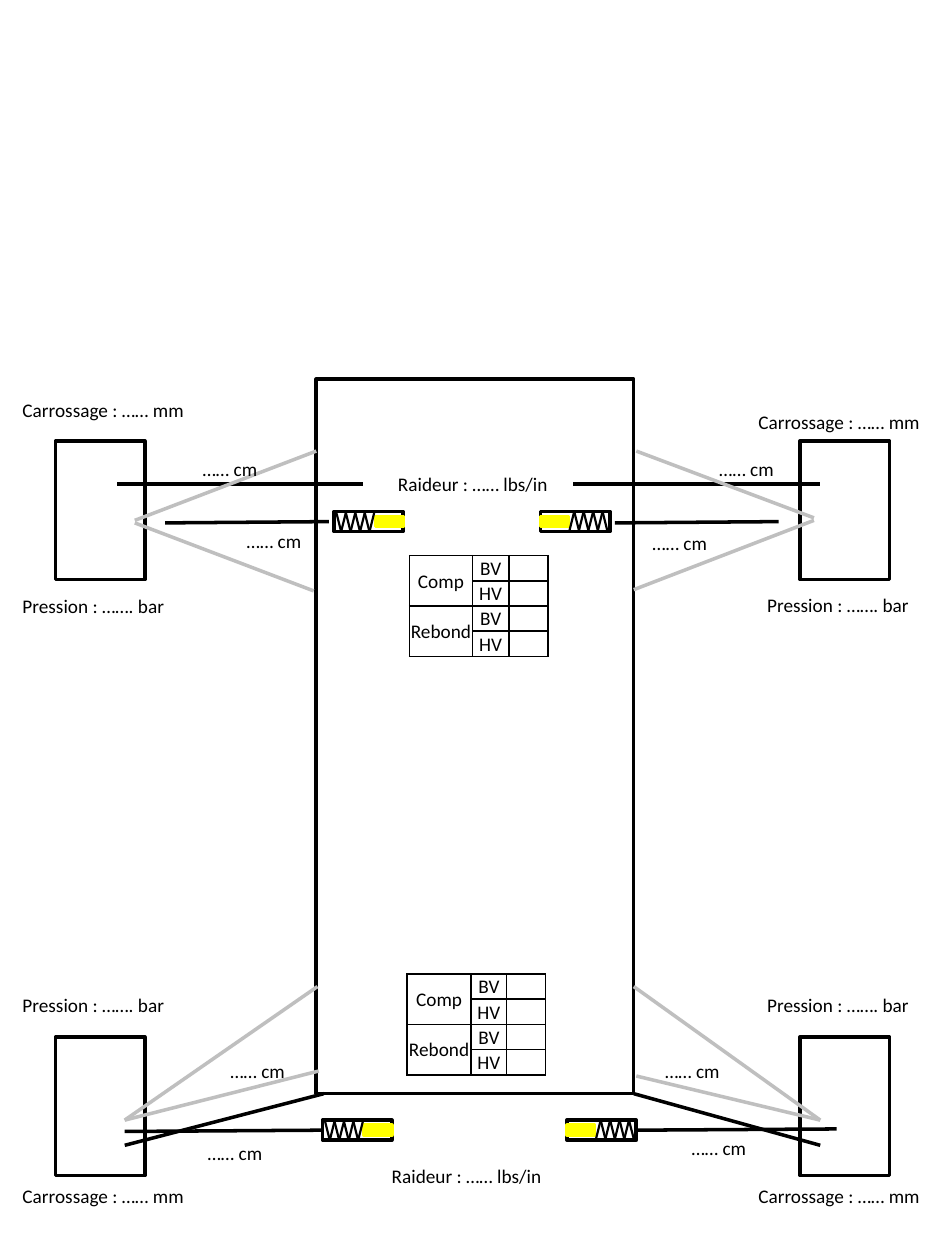
from itertools import pairwise
from typing import NamedTuple

from lxml.etree import SubElement
from pptx import Presentation
from pptx.dml.color import RGBColor
from pptx.enum.shapes import MSO_CONNECTOR, MSO_SHAPE
from pptx.enum.text import MSO_ANCHOR, PP_ALIGN
from pptx.oxml.ns import qn
from pptx.util import Inches, Pt

COLORS = {"ink": "000000", "arm": "BFBFBF", "damper": "FFFF00", "paper": "FFFFFF"}
FONT, FONT_SIZE = "Calibri", 11
DAMPER_W, DAMPER_H = 0.55, 0.16
COIL_STEP, COIL_TURNS = 0.0375, 8


class Box(NamedTuple):
    left: float
    top: float
    width: float
    height: float


class Link(NamedTuple):
    x1: float
    y1: float
    x2: float
    y2: float
    color: str = "ink"


class Label(NamedTuple):
    text: str
    width: float
    places: list


def rgb(name: str) -> RGBColor:
    return RGBColor.from_string(COLORS[name])


def draw_box(shapes, box: Box, fill: str = "", line: str = "ink"):
    rect = shapes.add_shape(MSO_SHAPE.RECTANGLE, *map(Inches, box))
    rect.shadow.inherit = False
    if fill:
        rect.fill.solid()
        rect.fill.fore_color.rgb = rgb(fill)
    else:
        rect.fill.background()
    rect.line.color.rgb = rgb(line)
    rect.line.width = Pt(2)
    return rect


def draw_link(shapes, link: Link, weight: float = 2):
    connector = shapes.add_connector(MSO_CONNECTOR.STRAIGHT, *map(Inches, link[:4]))
    connector.line.color.rgb = rgb(link.color)
    connector.line.width = Pt(weight)
    SubElement(connector._element.spPr, qn("a:effectLst"))
    return connector


def draw_damper(shapes, left: float, top: float, turned: bool = False):
    """Spring and damper; turned ones are rotated by half a turn."""
    group = shapes.add_group_shape().shapes

    def place(dx: float, dy: float) -> tuple:
        if turned:
            dx, dy = DAMPER_W - dx, DAMPER_H - dy
        return left + dx, top + dy

    body = draw_box(group, Box(left, top, DAMPER_W, DAMPER_H))
    rod_left = left if turned else left + 0.33
    draw_box(group, Box(rod_left, top + 0.04, 0.22, 0.08), "damper", "damper")
    coil = [place(0.02 + COIL_STEP * i, 0.16 if i % 2 else 0.01)
            for i in range(COIL_TURNS + 1)]
    for start, end in pairwise(coil):
        draw_link(group, Link(*start, *end), 1.25)
    return body


def write(frame, text: str, *, align=PP_ALIGN.LEFT, size: float = FONT_SIZE,
          color: str = "ink"):
    paragraph = frame.paragraphs[0]
    paragraph.alignment = align
    if not text:
        SubElement(paragraph._p, qn("a:endParaRPr"), sz=str(size * 100))
        return
    run = paragraph.add_run()
    run.text = text
    run.font.name = FONT
    run.font.size = Pt(size)
    run.font.color.rgb = rgb(color)


def border_cell(cell):
    tc_pr = cell._tc.get_or_add_tcPr()
    for side in ("lnL", "lnR", "lnT", "lnB"):
        edge = SubElement(tc_pr, qn(f"a:{side}"), w=str(Pt(1)))
        SubElement(SubElement(edge, qn("a:solidFill")), qn("a:srgbClr"),
                   val=COLORS["ink"])


def draw_settings(shapes, left: float, top: float, columns: tuple):
    rows = [("Comp", "BV", ""), ("", "HV", ""), ("Rebond", "BV", ""), ("", "HV", "")]
    table = shapes.add_table(len(rows), len(columns), Inches(left), Inches(top),
                             Inches(sum(columns)), Inches(0.8)).table
    table.first_row = table.horz_banding = False
    for column, width in zip(table.columns, columns):
        column.width = Inches(width)
    for r, row in enumerate(rows):
        table.rows[r].height = Inches(0.2)
        for c, text in enumerate(row):
            cell = table.cell(r, c)
            border_cell(cell)
            cell.fill.solid()
            cell.fill.fore_color.rgb = rgb("paper")
            cell.margin_left = cell.margin_right = cell.margin_top = Inches(0.01)
            cell.margin_bottom = 0
            cell.vertical_anchor = MSO_ANCHOR.BOTTOM if c else MSO_ANCHOR.MIDDLE
            write(cell.text_frame, text, align=PP_ALIGN.CENTER)
    for r in (0, 2):
        table.cell(r, 0).merge(table.cell(r + 1, 0))


def draw_label(shapes, text: str, width: float, left: float, top: float):
    box = shapes.add_textbox(*map(Inches, (left, top, width, 0.29)))
    box.text_frame.word_wrap = True
    write(box.text_frame, text)


LINKS = [
    # Rear track rods and front anti-roll bar
    Link(0.99, 9.09, 2.57, 8.68), Link(5.03, 8.68, 6.51, 9.09),
    Link(0.93, 3.84, 2.88, 3.84), Link(4.55, 3.84, 6.51, 3.84),
    # Front push rods
    Link(1.31, 4.15, 2.61, 4.14), Link(4.88, 4.15, 6.18, 4.14),
    # Front wishbones
    Link(1.07, 4.13, 2.51, 3.58, "arm"), Link(1.07, 4.15, 2.49, 4.69, "arm"),
    Link(6.46, 4.13, 5.03, 4.68, "arm"), Link(6.46, 4.11, 5.05, 3.58, "arm"),
    # Rear wishbones
    Link(0.99, 8.89, 2.53, 8.5, "arm"), Link(0.99, 8.89, 2.52, 7.83, "arm"),
    Link(6.51, 8.89, 5.03, 7.83, "arm"), Link(6.51, 8.89, 5.05, 8.54, "arm"),
]

LABELS = [
    Label("Raideur : …… lbs/in", 1.49, [(3.01, 9.19), (3.06, 3.7)]),
    Label("Pression : ……. bar", 1.43,
          [(0.08, 4.67), (0.08, 7.83), (5.99, 4.66), (5.99, 7.83)]),
    Label("Carrossage : …… mm", 1.57,
          [(0.08, 3.11), (5.92, 3.21), (5.92, 9.35), (0.08, 9.35)]),
    Label("…… cm", 0.71,
          [(1.86, 4.15), (5.08, 4.17), (5.18, 8.36), (1.73, 8.36),
           (1.51, 3.58), (5.61, 3.58), (5.39, 8.97), (1.55, 9.01)]),
]


def main():
    deck = Presentation()
    deck.slide_width, deck.slide_height = Inches(7.5), Inches(10)
    shapes = deck.slides.add_slide(deck.slide_layouts[6]).shapes

    # Chassis and wheels
    draw_box(shapes, Box(2.51, 3.01, 2.52, 5.67))
    for wheel_top in (3.5, 8.23):
        for wheel_left in (0.44, 6.35):
            draw_box(shapes, Box(wheel_left, wheel_top, 0.71, 1.1))

    # Suspension
    for link in LINKS:
        draw_link(shapes, link)
    draw_damper(shapes, 2.65, 4.06)
    draw_damper(shapes, 4.29, 4.06, turned=True)
    rear_left = draw_damper(shapes, 2.56, 8.89)
    rear_right = draw_damper(shapes, 4.5, 8.89, turned=True)

    # Rear push rods, joined to their dampers
    draw_link(shapes, Link(0.99, 8.98, 2.56, 8.97)).end_connect(rear_left, 1)
    draw_link(shapes, Link(5.05, 8.97, 6.64, 8.96)).begin_connect(rear_right, 3)

    # Damper settings and measurements
    draw_settings(shapes, 3.25, 4.41, (0.5, 0.29, 0.31))
    draw_settings(shapes, 3.23, 7.73, (0.51, 0.28, 0.31))
    for label in LABELS:
        for left, top in label.places:
            draw_label(shapes, label.text, label.width, left, top)

    deck.save("out.pptx")


if __name__ == "__main__":
    main()
